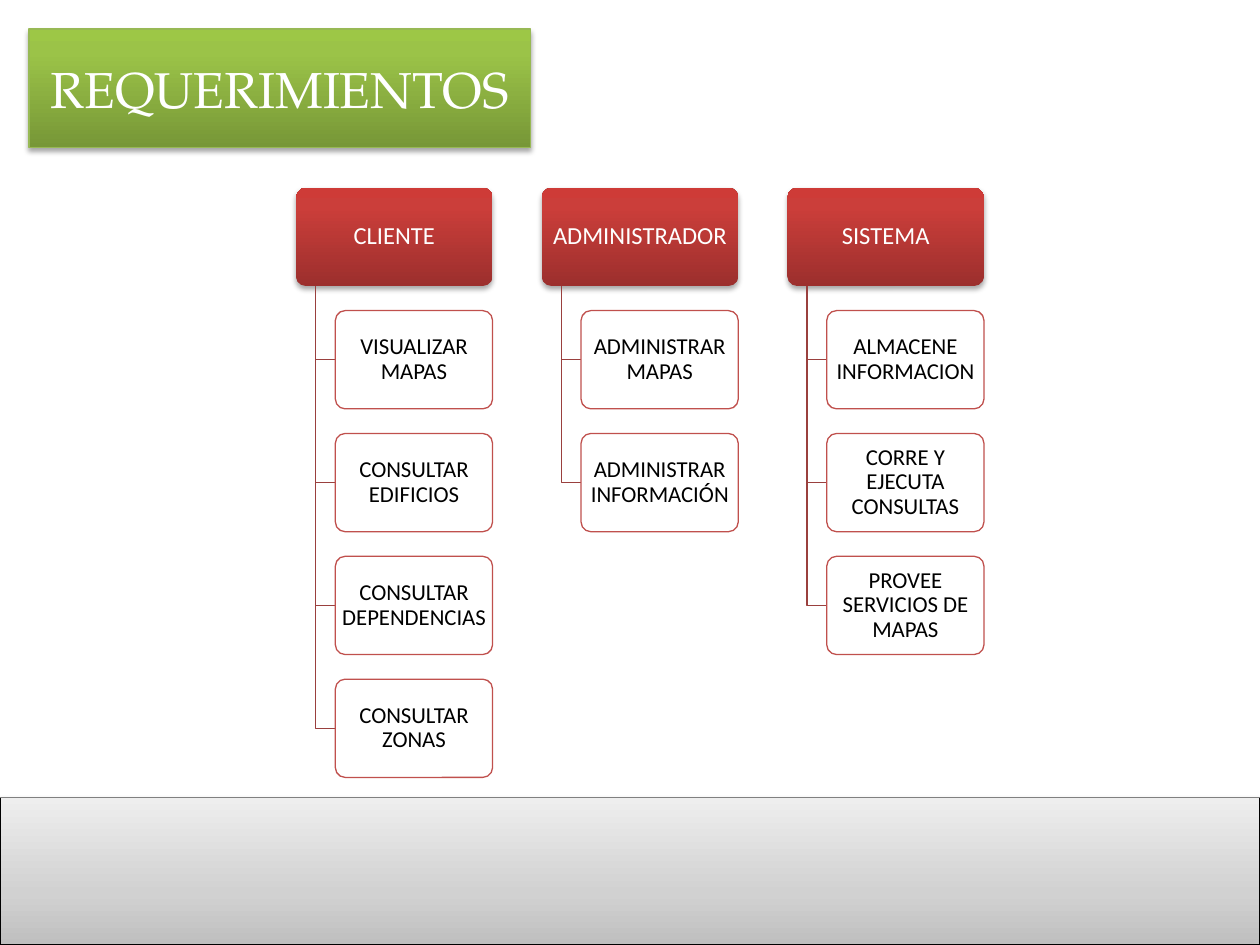
import dataclasses

import lxml.etree
import pptx
import pptx.dml.color
import pptx.enum.shapes
import pptx.enum.text
import pptx.oxml.ns
import pptx.util
from pptx.util import Inches

RECT = pptx.enum.shapes.MSO_SHAPE.RECTANGLE
ROUNDED = pptx.enum.shapes.MSO_SHAPE.ROUNDED_RECTANGLE
RED_STOPS = ((0, "9C2F2D"), (80, "CB3E3A"), (100, "CE3B37"))
GREEN_STOPS = ((0, "779737"), (80, "9BC348"), (100, "9DC746"))
GREY_STOPS = ((0, "BFBFBF"), (35, "D1D1D1"), (100, "EEEEEE"))

# Hierarchy grid: boxes are half as high as wide, gaps a quarter of either
BOX_WIDTH = 1.56
BOX_HEIGHT = 0.78
LEFT, TOP = 2.35, 1.49
COLUMN_STEP = BOX_WIDTH * 1.25
ROW_STEP = BOX_HEIGHT * 1.25


@dataclasses.dataclass
class Role:
    name: str
    requirements: tuple[str, ...]


ROLES = (
    Role("CLIENTE", ("VISUALIZAR MAPAS", "CONSULTAR EDIFICIOS",
                     "CONSULTAR DEPENDENCIAS", "CONSULTAR ZONAS")),
    Role("ADMINISTRADOR", ("ADMINISTRAR MAPAS", "ADMINISTRAR INFORMACIÓN")),
    Role("SISTEMA", ("ALMACENE INFORMACION", "CORRE Y EJECUTA CONSULTAS",
                     "PROVEE SERVICIOS DE MAPAS")),
)


def rgb(color: str) -> pptx.dml.color.RGBColor:
    return pptx.dml.color.RGBColor.from_string(color)


def add_node(parent, tag: str, **attributes):
    return lxml.etree.SubElement(parent, pptx.oxml.ns.qn(tag),
                                 {key: str(value) for key, value in attributes.items()})


def add_alpha(color_node, percent: int) -> None:
    add_node(color_node, "a:alpha", val=percent * 1000)


def set_gradient(shape, stops) -> None:
    """Fill upwards from the first stop to the last."""
    shape.fill.gradient()
    shape.fill.gradient_angle = 90
    stop_list = shape.element.spPr.find(".//" + pptx.oxml.ns.qn("a:gsLst"))
    for stop in list(stop_list):
        stop_list.remove(stop)
    for position, color in stops:
        stop = add_node(stop_list, "a:gs", pos=position * 1000)
        add_node(stop, "a:srgbClr", val=color)


def set_line(shape, color: str, width: float = 0.75) -> None:
    shape.line.color.rgb = rgb(color)
    shape.line.width = pptx.util.Pt(width)


def set_shadow(shape, opacity: int, distance: float) -> None:
    shape.shadow.inherit = False
    effects = shape.element.spPr.find(pptx.oxml.ns.qn("a:effectLst"))
    shadow = add_node(effects, "a:outerShdw", blurRad=pptx.util.Pt(3.1),
                      dist=pptx.util.Pt(distance), dir=90 * 60000, rotWithShape=0)
    add_alpha(add_node(shadow, "a:srgbClr", val="000000"), opacity)


def write(shape, text: str, *, size: float, color: str, font: str = "Calibri",
          spacing: float = 1.0, inset: float = 0.1) -> None:
    frame = shape.text_frame
    frame.word_wrap = True
    frame.auto_size = pptx.enum.text.MSO_AUTO_SIZE.NONE
    frame.vertical_anchor = pptx.enum.text.MSO_ANCHOR.MIDDLE
    frame.margin_left = frame.margin_right = Inches(inset)
    frame.margin_top = frame.margin_bottom = Inches(inset / 2)
    paragraph = frame.paragraphs[0]
    paragraph.alignment = pptx.enum.text.PP_ALIGN.CENTER
    paragraph.line_spacing = spacing
    run = paragraph.add_run()
    run.text = text
    run.font.size = pptx.util.Pt(size)
    run.font.name = font
    run.font.color.rgb = rgb(color)


def add_box(slide, x: float, y: float, width: float):
    box = slide.shapes.add_shape(ROUNDED, Inches(x), Inches(y),
                                 Inches(width), Inches(BOX_HEIGHT))
    box.adjustments[0] = 0.1
    box.shadow.inherit = False
    return box


def add_role(slide, x: float, name: str) -> None:
    box = add_box(slide, x, TOP, BOX_WIDTH)
    set_gradient(box, RED_STOPS)
    box.line.fill.background()
    set_shadow(box, 35, 1.8)
    write(box, name, size=14, color="FFFFFF", spacing=0.9, inset=0.01)


def add_requirement(slide, role_x: float, row: int, text: str) -> None:
    x = role_x + BOX_WIDTH * 0.2
    y = TOP + row * ROW_STEP
    trunk_x = Inches(role_x + BOX_WIDTH * 0.1)
    middle = Inches(y + BOX_HEIGHT / 2)

    # Elbow from the role down to the requirement
    builder = slide.shapes.build_freeform(trunk_x, Inches(TOP + BOX_HEIGHT))
    builder.add_line_segments([(trunk_x, middle), (Inches(x), middle)], close=False)
    elbow = builder.convert_to_shape()
    elbow.fill.background()
    elbow.shadow.inherit = False
    set_line(elbow, "9A403E")

    box = add_box(slide, x, y, BOX_WIDTH * 0.8)
    box.fill.solid()
    box.fill.fore_color.rgb = rgb("FFFFFF")
    add_alpha(box.element.spPr.find(
        pptx.oxml.ns.qn("a:solidFill") + "/" + pptx.oxml.ns.qn("a:srgbClr")), 90)
    set_line(box, "C0504D")
    write(box, text, size=13, color="000000", spacing=0.9, inset=0.01)


def add_footer(slide) -> None:
    top = Inches(6.33)
    band = slide.shapes.add_shape(RECT, 0, top, Inches(10), Inches(1.17))
    set_gradient(band, GREY_STOPS)
    set_line(band, "000000")
    set_shadow(band, 38, 1.6)
    edge = slide.shapes.add_connector(
        pptx.enum.shapes.MSO_CONNECTOR.STRAIGHT, 0, top, Inches(10), top)
    set_line(edge, "808080", 1)
    add_node(edge.element.spPr, "a:effectLst")


def add_title(slide) -> None:
    title = slide.shapes.title
    title.left, title.top = Inches(0.23), Inches(0.23)
    title.width, title.height = Inches(3.98), Inches(0.94)
    set_gradient(title, GREEN_STOPS)
    set_line(title, "98B955")
    set_shadow(title, 35, 1.8)
    write(title, "REQUERIMIENTOS", size=28.8, color="FFFFFF", font="TeX Gyre Pagella")


presentation = pptx.Presentation()
presentation.slide_width = Inches(10)
presentation.slide_height = Inches(7.5)
slide = presentation.slides.add_slide(presentation.slide_layouts[5])

add_footer(slide)
add_title(slide)
for column, role in enumerate(ROLES):
    role_x = LEFT + column * COLUMN_STEP
    add_role(slide, role_x, role.name)
    for row, requirement in enumerate(role.requirements, start=1):
        add_requirement(slide, role_x, row, requirement)

presentation.save("out.pptx")
